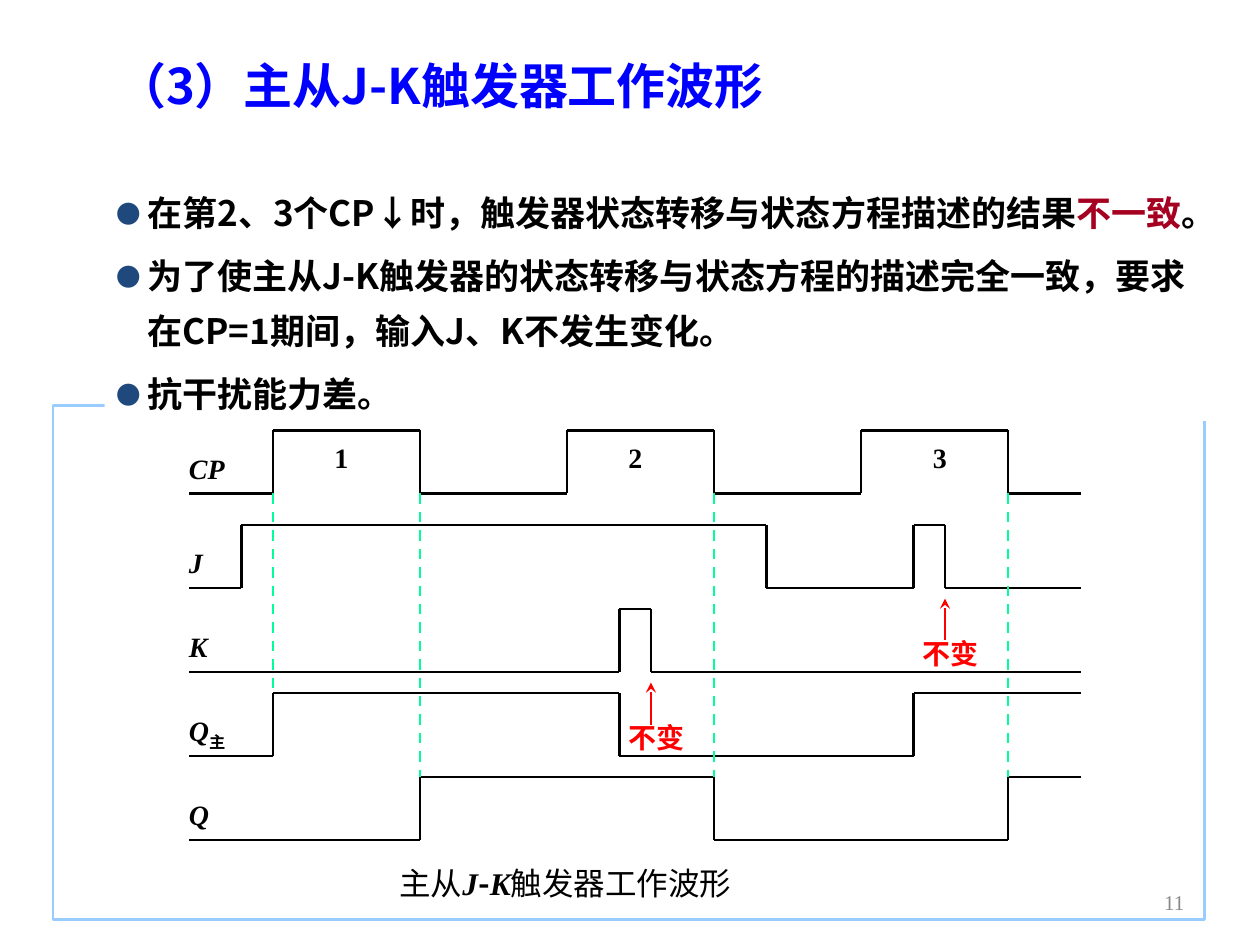
import pptx
import pptx.util
import pptx.dml.color
import pptx.enum.dml
import pptx.enum.shapes
import pptx.enum.text
import pptx.oxml.ns
import lxml.etree

RGB = pptx.dml.color.RGBColor
BLACK = RGB(0x00, 0x00, 0x00)
WHITE = RGB(0xFF, 0xFF, 0xFF)
BLUE = RGB(0x00, 0x00, 0xFF)
CRIMSON = RGB(0xA5, 0x00, 0x21)
RED = RGB(0xFF, 0x00, 0x00)
GREEN = RGB(0x00, 0xFF, 0x99)
SKY = RGB(0x99, 0xCC, 0xFF)
GRAY = RGB(0x89, 0x89, 0x89)
BULLET = "1F497D"
SANS = "Noto Sans CJK SC"
SERIF = "Times New Roman"
ALIGN = pptx.enum.text.PP_ALIGN
ANCHOR = pptx.enum.text.MSO_ANCHOR

TITLE = "（3）主从J-K触发器工作波形"
BULLETS = [
    [("在第2、3个CP↓时，触发器状态转移与状态方程描述的结果", BLACK),
     ("不一致", CRIMSON), ("。", BLACK)],
    [("为了使主从J-K触发器的状态转移与状态方程的描述完全一致，"
      "要求在CP=1期间，输入J、K不发生变化。", BLACK)],
    [("抗干扰能力差。", BLACK)],
]
CAPTION = [("主从", SANS, False, False), ("J", SERIF, True, True),
           ("-", SANS, True, False), ("K", SERIF, True, True),
           ("触发器工作波形", SANS, False, False)]

# GRID units
UNIT = 1 / 12
START, END, SWING, LABEL_RISE = 18, 103, 6, 4
WAVES = [
    ("CP", "", 47, [26, 40, 54, 68, 82, 96]),
    ("J", "", 56, [23, 73, 87, 90]),
    ("K", "", 64, [59, 62]),
    ("Q", "主", 72, [26, 59, 87]),
    ("Q", "", 80, [40, 68, 96]),
]
PULSES = [("1", 31), ("2", 59), ("3", 88)]
GUIDES = [(26, 66), (40, 74), (68, 74), (96, 74)]
NOTES = [("不变", 62, 69), ("不变", 90, 61)]


def inch(value):
    return pptx.util.Inches(value)


def grid(value):
    return inch(value * UNIT)


def add_run(p, text, size, color, font=SERIF, bold=True, italic=False):
    r = p.add_run()
    r.text = text
    r.font.size = pptx.util.Pt(size)
    r.font.name = font
    r.font.bold = bold
    r.font.italic = italic
    r.font.color.rgb = color
    ea = lxml.etree.SubElement(r.font._element, pptx.oxml.ns.qn("a:ea"))
    ea.set("typeface", SANS)
    return r


def add_label(s, left, top, width, height, align=ALIGN.LEFT):
    tf = s.shapes.add_textbox(left, top, width, height).text_frame
    tf.word_wrap = True
    tf.margin_left = tf.margin_right = tf.margin_top = tf.margin_bottom = 0
    tf.paragraphs[0].alignment = align
    return tf.paragraphs[0]


def add_line(s, x1, y1, x2, y2, color=BLACK):
    line = s.shapes.add_connector(pptx.enum.shapes.MSO_CONNECTOR.STRAIGHT,
                                  grid(x1), grid(y1), grid(x2), grid(y2))
    line.line.color.rgb = color
    line.line.width = pptx.util.Pt(1.5)
    lxml.etree.SubElement(line._element.spPr, pptx.oxml.ns.qn("a:effectLst"))
    return line


def add_rect(s, left, top, width, height):
    sp = s.shapes.add_shape(pptx.enum.shapes.MSO_SHAPE.RECTANGLE,
                            inch(left), inch(top), inch(width), inch(height))
    sp.shadow.inherit = False
    return sp


def add_bullet(p):
    pPr = p._p.get_or_add_pPr()
    pPr.set("marL", str(inch(0.24)))
    pPr.set("indent", str(-inch(0.24)))
    color = lxml.etree.SubElement(pPr, pptx.oxml.ns.qn("a:buClr"))
    lxml.etree.SubElement(color, pptx.oxml.ns.qn("a:srgbClr")).set("val", BULLET)
    for tag, key, value in (("a:buSzPct", "val", "70000"),
                            ("a:buFont", "typeface", SANS),
                            ("a:buChar", "char", "●")):
        lxml.etree.SubElement(pPr, pptx.oxml.ns.qn(tag)).set(key, value)


def add_title(s):
    sp = s.shapes.title
    sp.left, sp.top, sp.width, sp.height = map(inch, (0.83, 0.3, 8.82, 0.75))
    tf = sp.text_frame
    tf.auto_size = pptx.enum.text.MSO_AUTO_SIZE.NONE
    tf.vertical_anchor = ANCHOR.MIDDLE
    p = tf.paragraphs[0]
    p.alignment = ALIGN.LEFT
    add_run(p, TITLE, 28, BLUE, SANS)


def add_frame(s):
    sp = add_rect(s, 0.42, 3.22, 9.14, 4.08)
    sp.fill.background()
    sp.line.color.rgb = SKY
    sp.line.width = pptx.util.Pt(1.5)


def add_body(s):
    sp = add_rect(s, 0.83, 1.05, 8.82, 2.29)
    sp.fill.solid()
    sp.fill.fore_color.rgb = WHITE
    sp.line.fill.background()
    tf = sp.text_frame
    tf.word_wrap = True
    tf.vertical_anchor = ANCHOR.BOTTOM
    for i, runs in enumerate(BULLETS):
        p = tf.add_paragraph() if i else tf.paragraphs[0]
        add_bullet(p)
        p.alignment = ALIGN.LEFT
        p.line_spacing = 1.3
        p.space_before = pptx.util.Pt(5 if i else 0)
        for text, color in runs:
            add_run(p, text, 20, color, SANS)


def add_waves(s):
    for name, sub, base, toggles in WAVES:
        edges = [START, *toggles, END]
        for i, (x1, x2) in enumerate(zip(edges, edges[1:])):
            y = base - SWING * (i % 2)
            add_line(s, x1, y, x2, y)
        for x in toggles:
            add_line(s, x, base, x, base - SWING)
        p = add_label(s, grid(START), grid(base - LABEL_RISE), grid(6), inch(0.27))
        add_run(p, name, 16, BLACK, italic=True)
        if sub:
            r = add_run(p, sub, 16, BLACK)
            r.font._element.set("baseline", "-25000")
    for text, x in PULSES:
        p = add_label(s, grid(x), grid(42), grid(3), inch(0.27), ALIGN.CENTER)
        add_run(p, text, 16, BLACK)


def add_guides(s):
    for x, bottom in GUIDES:
        line = add_line(s, x, WAVES[0][2], x, bottom, GREEN)
        line.line.dash_style = pptx.enum.dml.MSO_LINE.DASH


def add_notes(s):
    for text, x, y in NOTES:
        p = add_label(s, grid(x - 3), grid(y), grid(7), inch(0.24), ALIGN.CENTER)
        p.line_spacing = 0.9
        add_run(p, text, 16, RED)
        line = add_line(s, x, y, x, y - 4, RED)
        tail = lxml.etree.SubElement(line.line._get_or_add_ln(),
                                     pptx.oxml.ns.qn("a:tailEnd"))
        tail.set("type", "stealth")


def add_footer(s):
    p = add_label(s, inch(3.17), inch(6.89), inch(3.92), inch(0.27))
    p.line_spacing = 0.9
    for text, font, bold, italic in CAPTION:
        add_run(p, text, 18, BLACK, font, bold, italic)
    p = add_label(s, inch(7.17), inch(7.06), inch(2.23), inch(0.2), ALIGN.RIGHT)
    add_run(p, "11", 12, GRAY, bold=False)


def main():
    prs = pptx.Presentation()
    prs.slide_width, prs.slide_height = inch(10), inch(7.5)
    s = prs.slides.add_slide(prs.slide_layouts[5])
    for add_part in (add_title, add_frame, add_body, add_waves,
                     add_guides, add_notes, add_footer):
        add_part(s)
    prs.save("out.pptx")


if __name__ == "__main__":
    main()
